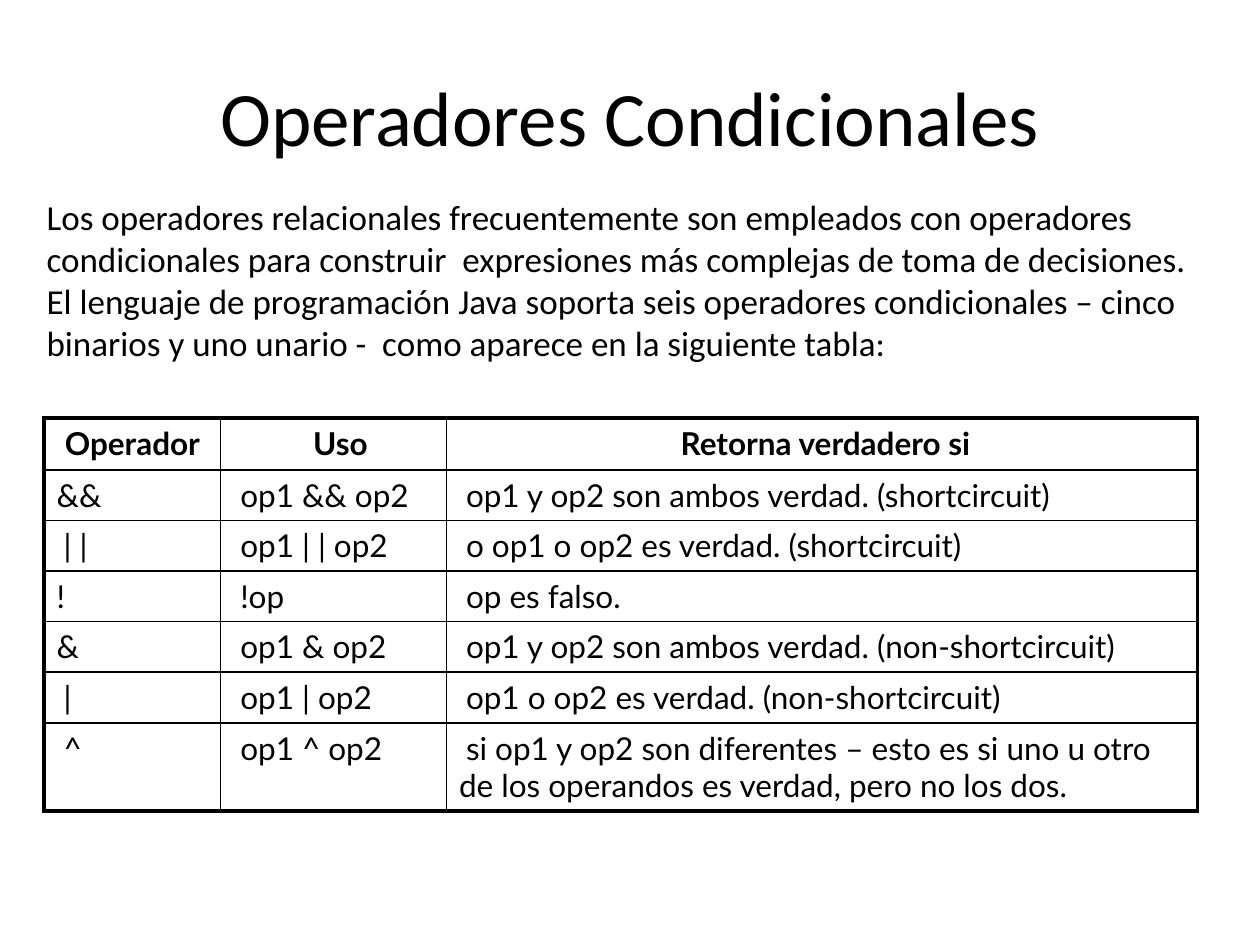
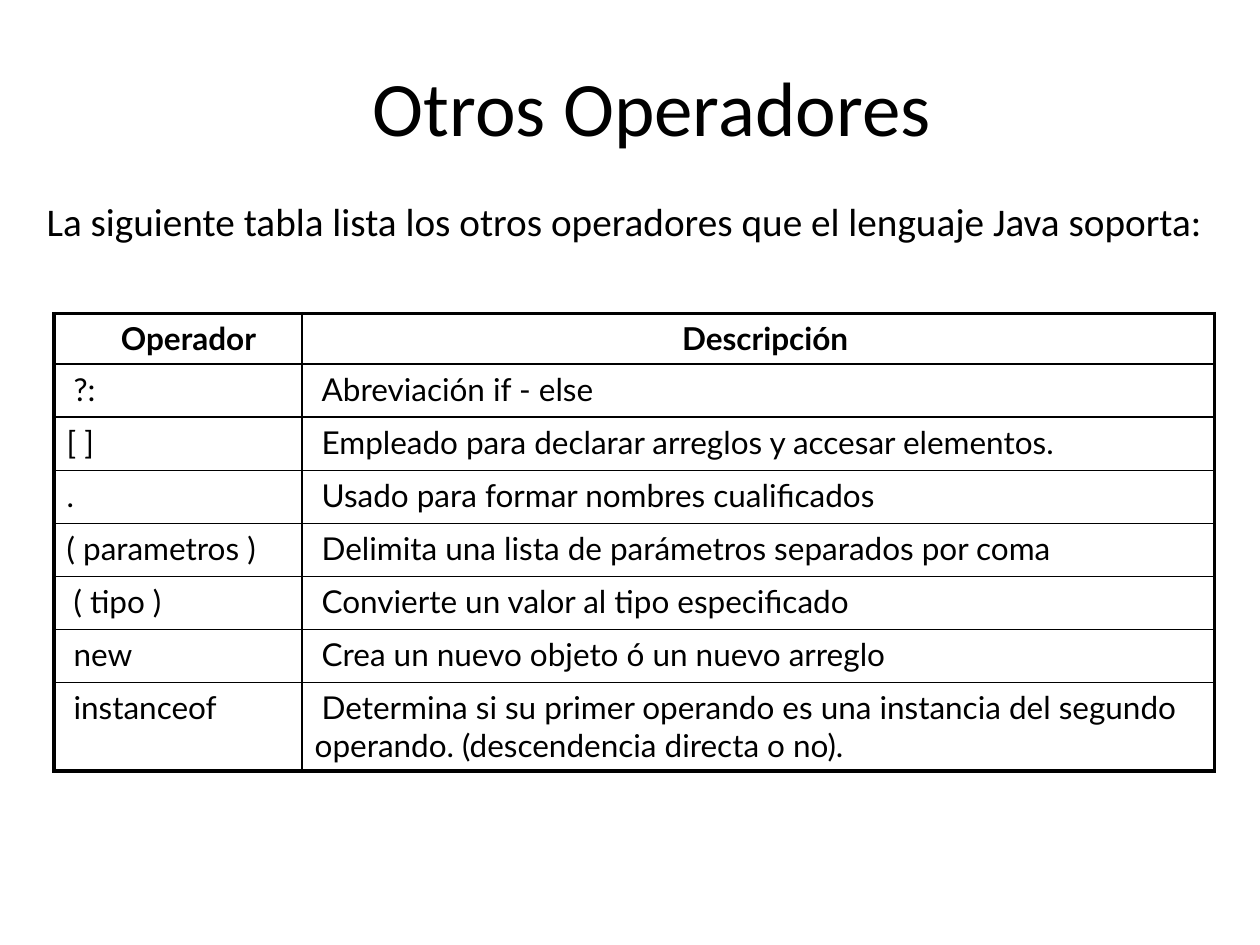
"""Builds two slides that list Java operators in ruled tables."""
from dataclasses import dataclass

from lxml import etree
from pptx import Presentation, util as u
from pptx.dml import color
from pptx.enum import text
from pptx.oxml import ns


@dataclass(frozen=True)
class Theme:
    ink: str = "000000"
    text_font: str = "Calibri"
    table_font: str = "Lato"
    title_size: float = 44
    table_size: float = 18
    outer_rule: float = 2.25
    inner_rule: float = 1
    indent_step: float = 0.14


THEME = Theme()

SLIDES = [
    {
        "title": "Operadores Condicionales",
        "title_box": (0, 1.27, 25.4, 2.11),
        "intro": "Los operadores relacionales frecuentemente son empleados con operadores "
                 "condicionales para construir  expresiones más complejas de toma de decisiones. "
                 "El lenguaje de programación Java soporta seis operadores condicionales – cinco "
                 "binarios y uno unario -  como aparece en la siguiente tabla:",
        "intro_box": (0.69, 3.81, 23.8, 4.52),
        "intro_size": 20,
        "table_corner": (0.89, 8.43),
        "column_widths": (3.56, 4.55, 15.14),
        "row_heights": {"header": 1.04, "body": 1.02, "last": 1.78},
        "header": ("Operador", "Uso", "Retorna verdadero si"),
        "header_indents": (0, 2, 1),
        "flush_operators": ("&&", "!", "&"),
        "rows": [
            ("&&", "op1 && op2", "op1 y op2 son ambos verdad. (shortcircuit)"),
            ("| |", "op1 | | op2", "o op1 o op2 es verdad. (shortcircuit)"),
            ("!", "!op", "op es falso."),
            ("&", "op1 & op2", "op1 y op2 son ambos verdad. (non-shortcircuit)"),
            ("|", "op1 | op2", "op1 o op2 es verdad. (non-shortcircuit)"),
            ("^", "op1 ^ op2", "si op1 y op2 son diferentes – esto es si uno u otro "
                               "de los operandos es verdad, pero no los dos."),
        ],
    },
    {
        "title": "Otros Operadores",
        "title_box": (0, 0.76, 26.29, 2.74),
        "intro": "La siguiente tabla lista los otros operadores que el lenguaje Java soporta:",
        "intro_box": (0.69, 3.86, 24, 1.88),
        "intro_size": 22.4,
        "table_corner": (1.09, 6.32),
        "column_widths": (5, 18.39),
        "row_heights": {"header": 1.02, "body": 1.07, "last": 1.78},
        "header": ("Operador", "Descripción"),
        "header_indents": (3, 2),
        "flush_operators": ("[ ]", ".", "( parametros )"),
        "rows": [
            ("?:", "Abreviación if - else"),
            ("[ ]", "Empleado para declarar arreglos y accesar elementos."),
            (".", "Usado para formar nombres cualificados"),
            ("( parametros )", "Delimita una lista de parámetros separados por coma"),
            ("( tipo )", "Convierte un valor al tipo especificado"),
            ("new", "Crea un nuevo objeto ó un nuevo arreglo"),
            ("instanceof", "Determina si su primer operando es una instancia del segundo "
                           "operando. (descendencia directa o no)."),
        ],
    },
]


def write(frame, words, font_name, size, alignment, bold=False):
    frame.text = words
    frame.word_wrap = True
    paragraph = frame.paragraphs[0]
    paragraph.alignment = alignment
    font = paragraph.font
    font.name, font.size, font.bold = font_name, u.Pt(size), bold
    font.color.rgb = color.RGBColor.from_string(THEME.ink)
    return paragraph


def add_title(slide, content):
    title = slide.shapes.title
    title.left, title.top, title.width, title.height = map(u.Cm, content["title_box"])
    title.text_frame.vertical_anchor = text.MSO_ANCHOR.MIDDLE
    write(title.text_frame, content["title"], THEME.text_font, THEME.title_size,
          text.PP_ALIGN.CENTER)


def add_intro(slide, content):
    box = slide.shapes.add_textbox(*map(u.Cm, content["intro_box"]))
    write(box.text_frame, content["intro"], THEME.text_font, content["intro_size"],
          text.PP_ALIGN.LEFT)


def rule_cell(cell, outer_sides):
    properties = cell._tc.get_or_add_tcPr()
    for position, side in enumerate("LRTB"):
        width = THEME.outer_rule if side in outer_sides else THEME.inner_rule
        line = etree.Element(ns.qn(f"a:ln{side}"), w=str(u.Pt(width)))
        fill = etree.SubElement(line, ns.qn("a:solidFill"))
        etree.SubElement(fill, ns.qn("a:srgbClr"), val=THEME.ink)
        properties.insert(position, line)


def add_operator_table(slide, content):
    rows = [content["header"], *content["rows"]]
    widths, heights = content["column_widths"], content["row_heights"]
    last_row, last_column = len(rows) - 1, len(widths) - 1
    row_heights = [heights["header"], *[heights["body"]] * (last_row - 1), heights["last"]]
    size = sum(widths), sum(row_heights)
    table = slide.shapes.add_table(len(rows), len(widths),
                                   *map(u.Cm, content["table_corner"] + size)).table
    table.first_row = table.horz_banding = False
    for column, width in zip(table.columns, widths):
        column.width = u.Cm(width)
    for row, height in zip(table.rows, row_heights):
        row.height = u.Cm(height)

    for r, row in enumerate(rows):
        for c, words in enumerate(row):
            cell = table.cell(r, c)
            is_header = r == 0
            alignment = text.PP_ALIGN.CENTER if is_header else text.PP_ALIGN.LEFT
            paragraph = write(cell.text_frame, words, THEME.table_font, THEME.table_size,
                              alignment, is_header)
            is_flush = c == 0 and words in content["flush_operators"]
            steps = content["header_indents"][c] if is_header else int(not is_flush)
            indent = u.Cm(steps * THEME.indent_step)
            paragraph._p.get_or_add_pPr().set("indent", str(indent))
            cell.fill.background()
            edges = {"L": c == 0, "R": c == last_column, "T": is_header, "B": r == last_row}
            rule_cell(cell, [side for side, is_outer in edges.items() if is_outer])


def main():
    presentation = Presentation()
    presentation.slide_width, presentation.slide_height = u.Cm(25.4), u.Cm(19.05)
    title_only = presentation.slide_layouts.get_by_name("Title Only")
    for content in SLIDES:
        slide = presentation.slides.add_slide(title_only)
        add_title(slide, content)
        add_intro(slide, content)
        add_operator_table(slide, content)
    presentation.save("out.pptx")


if __name__ == "__main__":
    main()
